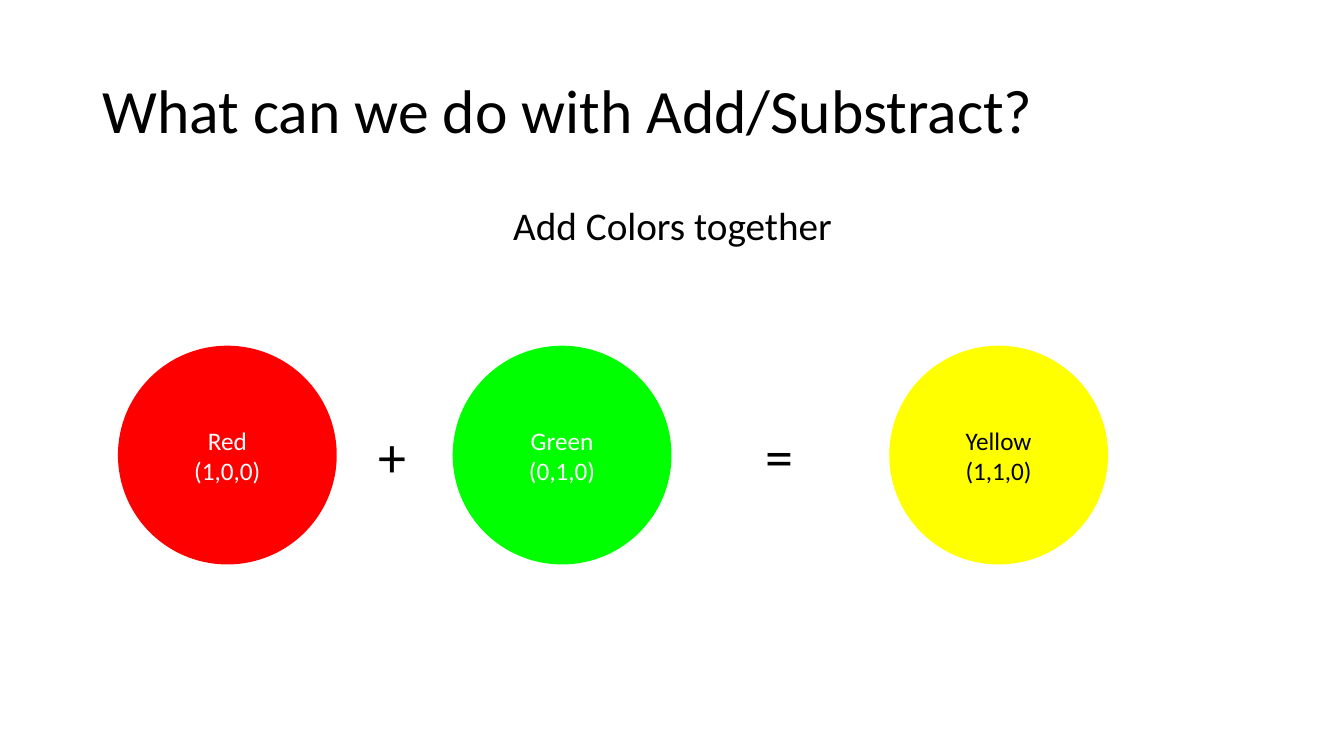
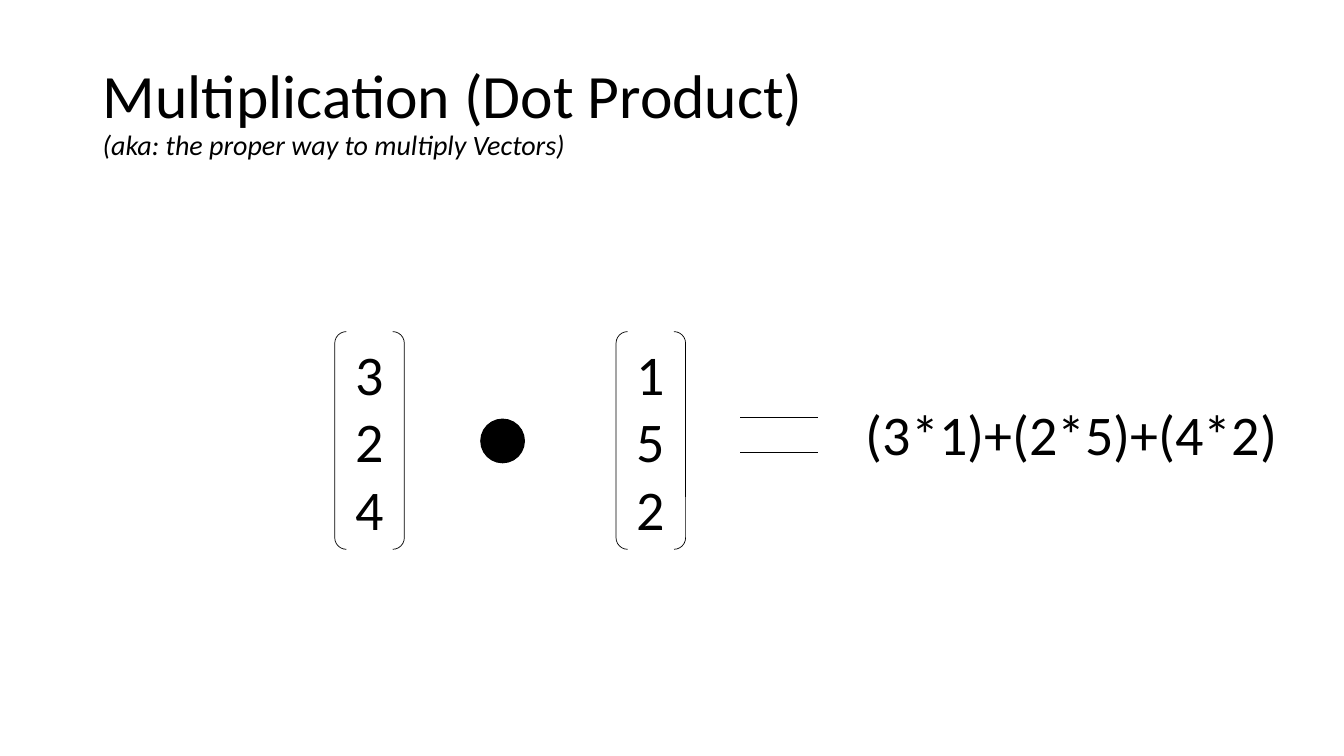
import pptx
import pptx.util
import pptx.dml.color
import pptx.enum.shapes
import pptx.enum.text
import pptx.oxml.ns
from lxml import etree

Inches, Pt = pptx.util.Inches, pptx.util.Pt
RGBColor = pptx.dml.color.RGBColor
SHAPE = pptx.enum.shapes.MSO_SHAPE
ALIGN = pptx.enum.text.PP_ALIGN
ANCHOR = pptx.enum.text.MSO_ANCHOR

BLACK = RGBColor(0, 0, 0)
WHITE = RGBColor(255, 255, 255)
RED = RGBColor(255, 0, 0)
GREEN = RGBColor(0, 255, 0)
YELLOW = RGBColor(255, 255, 0)

FONT = "Calibri"
MARGIN, CONTENT_WIDTH = 0.92, 11.5
TITLE_SIZE, SUBTITLE_SIZE, BODY_SIZE, LABEL_SIZE, MATH_SIZE = 44, 20, 28, 18, 40
THIN = 0.5


class Deck:
    def __init__(self):
        self.prs = pptx.Presentation()
        self.prs.slide_width, self.prs.slide_height = Inches(13.33), Inches(7.5)
        self.s = None

    def new_slide(self, title, subtitle=None):
        self.s = self.prs.slides.add_slide(self.prs.slide_layouts[6])
        text = f"{title}\v{subtitle}" if subtitle else title
        box = self.text(text, MARGIN, 0.4, CONTENT_WIDTH, 1.45, TITLE_SIZE, spacing=0.9)
        box.text_frame.vertical_anchor = ANCHOR.MIDDLE
        if subtitle:
            font = box.text_frame.paragraphs[0].runs[1].font
            font.size, font.italic = Pt(SUBTITLE_SIZE), True

    def fill_text(self, tf, text, size, color=BLACK, align=ALIGN.LEFT, spacing=None):
        tf.text = text
        tf.word_wrap = True
        for p in tf.paragraphs:
            p.alignment, p.line_spacing = align, spacing
            for r in p.runs:
                r.font.name, r.font.size = FONT, Pt(size)
                r.font.color.rgb = color

    def text(self, text, x, y, w, h, size, **style):
        box = self.s.shapes.add_textbox(Inches(x), Inches(y), Inches(w), Inches(h))
        self.fill_text(box.text_frame, text, size, **style)
        return box

    def shape(self, kind, x, y, w, h, fill=None, line=None):
        """Add a preset shape; line is a black outline width in points."""
        sp = self.s.shapes.add_shape(kind, Inches(x), Inches(y), Inches(w), Inches(h))
        sp.shadow.inherit = False
        if fill is None:
            sp.fill.background()
        else:
            sp.fill.solid()
            sp.fill.fore_color.rgb = fill
        if line is None:
            sp.line.fill.background()
        else:
            sp.line.color.rgb, sp.line.width = BLACK, Pt(line)
        sp.text_frame.vertical_anchor = ANCHOR.MIDDLE
        return sp

    def color_circle(self, label, x, fill, color):
        sp = self.shape(SHAPE.OVAL, x, 3.43, 2.17, 2.17, fill)
        self.fill_text(sp.text_frame, label, LABEL_SIZE, color, ALIGN.CENTER)

    def vector(self, values, x):
        """Add a column vector between brackets."""
        sp = self.shape(SHAPE.DOUBLE_BRACKET, x, 3.29, 0.69, 2.16, line=THIN)
        self.fill_text(sp.text_frame, "\n".join(map(str, values)), MATH_SIZE,
                       align=ALIGN.CENTER)

    def rule(self, x, y, w):
        line = self.s.shapes.add_connector(
            pptx.enum.shapes.MSO_CONNECTOR.STRAIGHT,
            Inches(x), Inches(y), Inches(x + w), Inches(y))
        line.line.color.rgb, line.line.width = BLACK, Pt(THIN)
        etree.SubElement(line._element.spPr, pptx.oxml.ns.qn("a:effectLst"))


def add_colors(deck):
    deck.new_slide("What can we do with Add/Substract?")
    deck.text("Add Colors together", MARGIN, 2, CONTENT_WIDTH, 0.6, BODY_SIZE,
              align=ALIGN.CENTER, spacing=0.9)
    for label, x, fill, color in (("Red\n(1,0,0)", 1.17, RED, WHITE),
                                  ("Green\n(0,1,0)", 4.49, GREEN, WHITE),
                                  ("Yellow\n(1,1,0)", 8.82, YELLOW, BLACK)):
        deck.color_circle(label, x, fill, color)
    for sign, x in (("+", 3.66), ("=", 7.49)):
        deck.text(sign, x, 4.13, 0.51, 0.77, MATH_SIZE)


def dot_product(deck):
    deck.new_slide("Multiplication (Dot Product)", "(aka: the proper way to multiply Vectors)")
    a, b = (3, 2, 4), (1, 5, 2)
    deck.vector(a, 3.32)
    deck.vector(b, 6.11)
    for y in (4.14, 4.49):
        deck.rule(7.34, y, 0.77)
    deck.shape(SHAPE.OVAL, 4.77, 4.16, 0.43, 0.43, BLACK, line=1)
    deck.text("+".join(f"({m}*{n})" for m, n in zip(a, b)), 8.49, 3.91, 4.7, 0.77, MATH_SIZE)


def main():
    deck = Deck()
    add_colors(deck)
    dot_product(deck)
    deck.prs.save("out.pptx")


if __name__ == "__main__":
    main()
